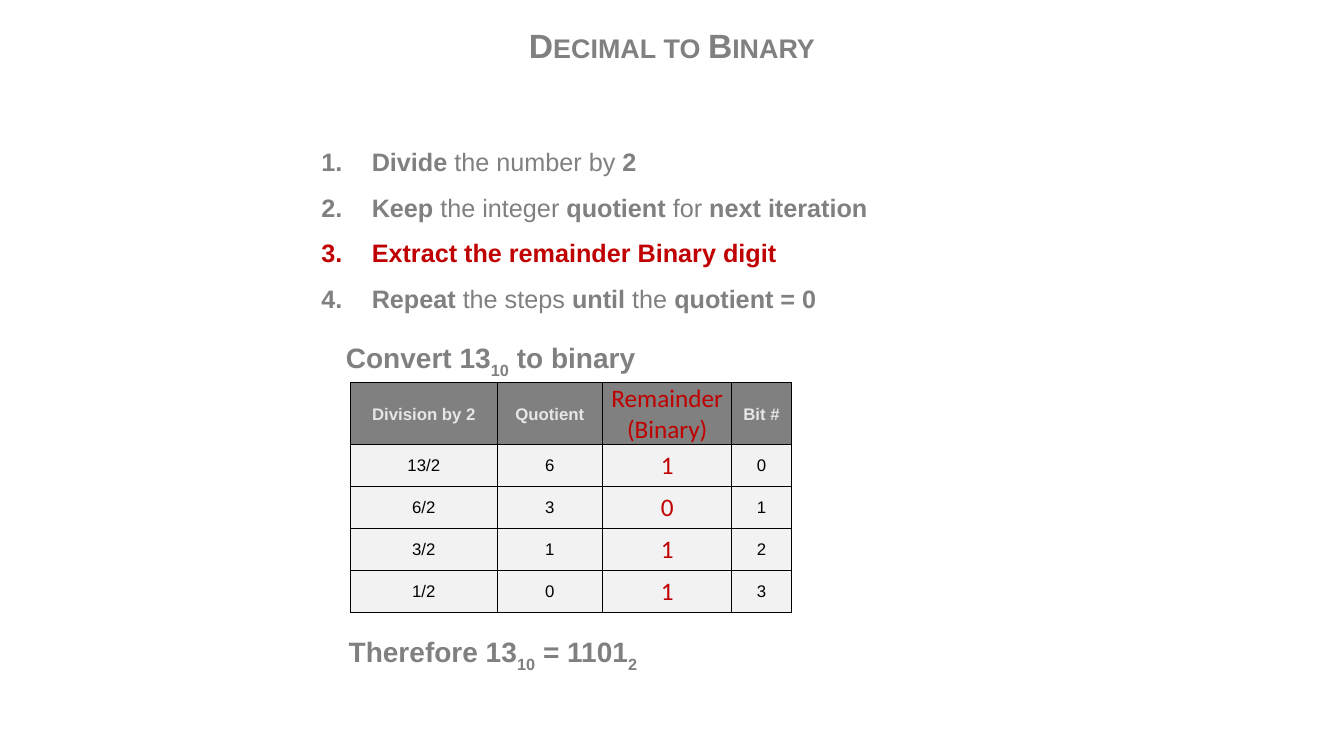
from dataclasses import dataclass

from lxml.etree import SubElement
from pptx import Presentation
from pptx.dml.color import RGBColor
from pptx.enum.text import MSO_ANCHOR, MSO_AUTO_SIZE, PP_ALIGN
from pptx.oxml.ns import qn
from pptx.util import Pt


@dataclass(frozen=True)
class Theme:
    """Colours, fonts and type sizes of the slide."""
    grey: str = "808080"
    accent: str = "C00000"
    black: str = "000000"
    header_text: str = "E7E6E6"
    body_fill: str = "F2F2F2"
    font: str = "Arial"
    accent_font: str = "Calibri"
    title: int = 24
    heading: int = 20
    body: int = 18
    cell: int = 12


THEME = Theme()
PLAIN = {"bold": False}
SUB = {"baseline": -25000}

STEPS = [
    [("Divide", {}), (" the number by ", PLAIN), ("2", {})],
    [("Keep", {}), (" the integer", PLAIN), (" quotient ", {}),
     ("for", PLAIN), (" next iteration", {})],
    [("Extract the remainder Binary digit", {"color": THEME.accent})],
    [("Repeat", {}), (" the steps ", PLAIN), ("until", {}),
     (" the ", PLAIN), ("quotient = 0", {})],
]
HEADERS = ["Division by 2", "Quotient", "Remainder (Binary)", "Bit #"]
DIVISIONS = [
    ["13/2", "6", "1", "0"],
    ["6/2", "3", "0", "1"],
    ["3/2", "1", "1", "2"],
    ["1/2", "0", "1", "3"],
]
COLUMN_WIDTHS = [104.5, 75.5, 92.25, 42.5]
REMAINDER = HEADERS.index("Remainder (Binary)")


def add_run(p, text, size, color=THEME.grey, bold=True, name=THEME.font, **extra):
    """Append a formatted run; extra values become run property attributes."""
    r = p.add_run()
    r.text = text
    for key, value in {"size": Pt(size), "bold": bold, "name": name}.items():
        setattr(r.font, key, value)
    r.font.color.rgb = RGBColor.from_string(color)
    for key, value in extra.items():
        r._r.get_or_add_rPr().set(key, str(value))


def add_text(s, box, paragraphs, size, **paragraph_format):
    """Place a text box holding paragraphs of runs and return its text frame."""
    tf = s.shapes.add_textbox(*map(Pt, box)).text_frame
    for key, value in {"word_wrap": True, "auto_size": MSO_AUTO_SIZE.SHAPE_TO_FIT_TEXT}.items():
        setattr(tf, key, value)
    for i, runs in enumerate(paragraphs):
        p = tf.add_paragraph() if i else tf.paragraphs[0]
        for key, value in paragraph_format.items():
            setattr(p, key, value)
        for text, style in runs:
            add_run(p, text, size, **style)
    return tf


def add_title(s, box):
    """Place the centred small-caps title."""
    add_text(s, box, [[("Decimal to Binary", {"cap": "small"})]], THEME.title,
             alignment=PP_ALIGN.CENTER)


def add_steps(s, box):
    """Place the numbered steps of the method."""
    tf = add_text(s, box, STEPS, THEME.body, line_spacing=1.5)
    for p in tf.paragraphs:
        pPr = p._p.get_or_add_pPr()
        pPr.set("marL", str(Pt(36)))
        pPr.set("indent", str(Pt(-36)))
        SubElement(pPr, qn("a:buFont"), typeface="+mj-lt")
        SubElement(pPr, qn("a:buAutoNum"), type="arabicPeriod")


def add_borders(cell, row, col, last_row, last_col):
    """Draw thick lines on the table's outside and thin ones inside."""
    outside = {"lnL": col == 0, "lnR": col == last_col,
               "lnT": row == 0, "lnB": row == last_row}
    for side, is_outside in outside.items():
        ln = SubElement(cell._tc.get_or_add_tcPr(), qn(f"a:{side}"),
                        w=str(Pt(1 if is_outside else 0.5)))
        SubElement(SubElement(ln, qn("a:solidFill")), qn("a:srgbClr"), val=THEME.black)


def add_division_table(s, box, header_height=44):
    """Place the table of repeated divisions."""
    rows = [HEADERS, *DIVISIONS]
    table = s.shapes.add_table(len(rows), len(HEADERS), *map(Pt, box)).table
    for column, width in zip(table.columns, COLUMN_WIDTHS):
        column.width = Pt(width)
    body_height = (box[3] - header_height) / len(DIVISIONS)
    cell_format = {"margin_left": Pt(0.75), "margin_right": Pt(0.75),
                   "margin_top": Pt(0.75), "margin_bottom": 0,
                   "vertical_anchor": MSO_ANCHOR.MIDDLE}
    accent = {"size": THEME.body, "color": THEME.accent,
              "bold": False, "name": THEME.accent_font}
    header = {"size": THEME.cell, "color": THEME.header_text}
    body = {"size": THEME.cell, "color": THEME.black, "bold": False}
    for i, values in enumerate(rows):
        table.rows[i].height = Pt(body_height if i else header_height)
        for j, text in enumerate(values):
            cell = table.cell(i, j)
            for key, value in cell_format.items():
                setattr(cell, key, value)
            add_borders(cell, i, j, len(rows) - 1, len(values) - 1)
            cell.fill.solid()
            cell.fill.fore_color.rgb = RGBColor.from_string(THEME.body_fill if i else THEME.grey)
            p = cell.text_frame.paragraphs[0]
            p.alignment = PP_ALIGN.CENTER
            add_run(p, text, **(accent if j == REMAINDER else body if i else header))


def add_heading(s, box, runs):
    """Place a bold statement with subscripted number bases."""
    add_text(s, box, [runs], THEME.heading)


def main():
    """Build and save the slide."""
    prs = Presentation()
    prs.slide_width, prs.slide_height = Pt(960), Pt(540)
    s = prs.slides.add_slide(prs.slide_layouts[6])
    add_title(s, (171.5, 14.5, 617, 36))
    add_heading(s, (240, 240, 235.5, 31.5),
                [("Convert 13", {}), ("10", SUB), (" to binary", {})])
    add_division_table(s, (250.5, 273.5, sum(COLUMN_WIDTHS), 164))
    add_heading(s, (242, 450, 480, 31.5),
                [("Therefore 13", {}), ("10", SUB), (" = 1101", {}), ("2", SUB)])
    add_steps(s, (222.5, 90.5, 460, 134))
    prs.save("out.pptx")


if __name__ == "__main__":
    main()
